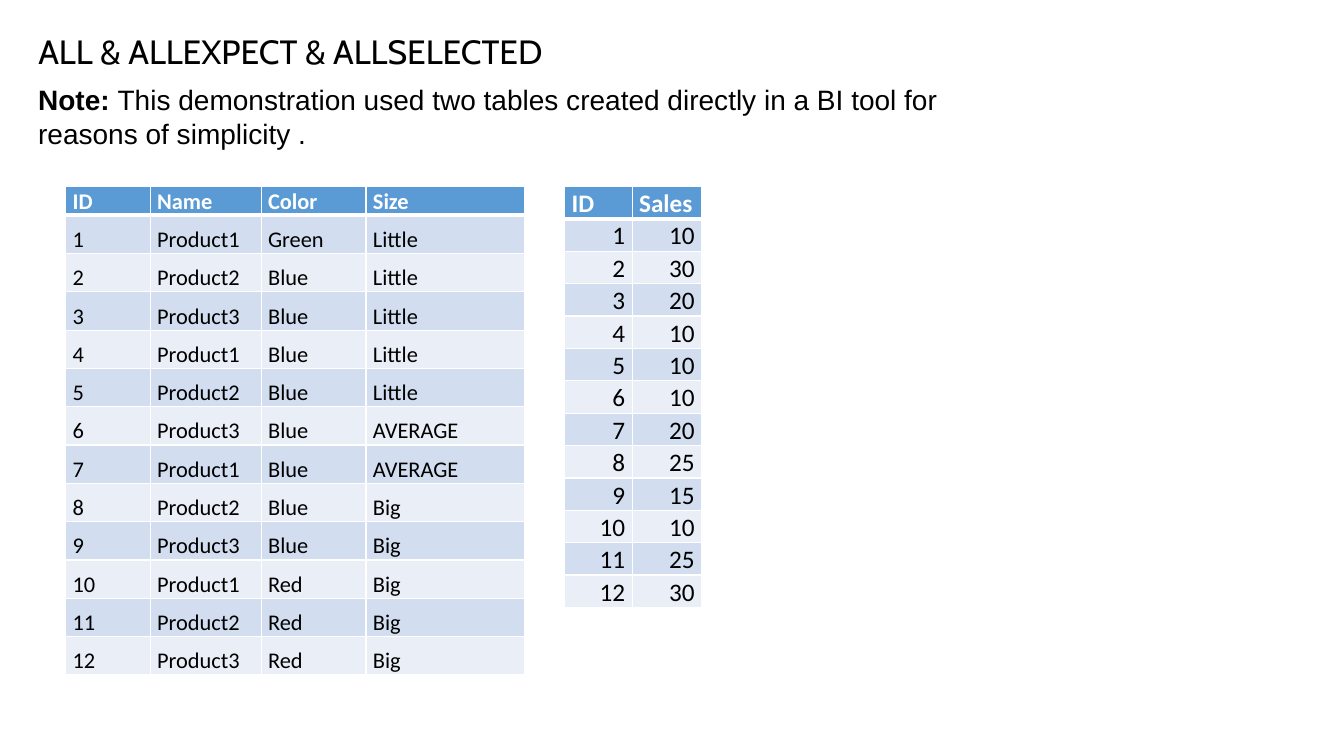
from lxml.etree import SubElement
from pptx import Presentation
from pptx.dml.color import RGBColor
from pptx.enum.text import MSO_ANCHOR, MSO_AUTO_SIZE, PP_ALIGN
from pptx.oxml.ns import qn
from pptx.util import Pt

PX = 9144
BLACK = RGBColor(0x00, 0x00, 0x00)
WHITE = RGBColor(0xFF, 0xFF, 0xFF)
HEADER_BLUE = RGBColor(0x5B, 0x9B, 0xD5)
BANDS = (RGBColor(0xEA, 0xEF, 0xF7), RGBColor(0xD2, 0xDE, 0xEF))

COLORS = ["Green"] + ["Blue"] * 8 + ["Red"] * 3
SIZES = ["Little"] * 5 + ["AVERAGE"] * 2 + ["Big"] * 5
SALES = [10, 30, 20, 10, 10, 10, 20, 25, 15, 10, 25, 30]
PRODUCT_ROWS = [["ID", "Name", "Color", "Size"]] + [
    [i + 1, f"Product{i % 3 + 1}", color, size]
    for i, (color, size) in enumerate(zip(COLORS, SIZES))
]
SALES_ROWS = [["ID", "Sales"]] + [[i, n] for i, n in enumerate(SALES, 1)]


def set_font(r, name, size, color, bold=False):
    """Format one run."""
    r.font.name = name
    r.font.size = Pt(size)
    r.font.bold = bold
    r.font.color.rgb = color


def add_title(s, x, y, w, h):
    """Place the heading in the title placeholder."""
    sp = s.shapes.title
    sp.left, sp.top, sp.width, sp.height = (v * PX for v in (x, y, w, h))
    tf = sp.text_frame
    tf.text = "ALL & ALLEXPECT & ALLSELECTED"
    tf.word_wrap = False
    tf.auto_size = MSO_AUTO_SIZE.SHAPE_TO_FIT_TEXT
    tf.vertical_anchor = MSO_ANCHOR.TOP
    p = tf.paragraphs[0]
    p.alignment = PP_ALIGN.LEFT
    set_font(p.runs[0], "Cabin", 24, BLACK)


def add_note(s, x, y, w, h):
    """Place the two-line note with its bold lead word."""
    tf = s.shapes.add_textbox(x * PX, y * PX, w * PX, h * PX).text_frame
    tf.word_wrap = True
    tf.vertical_anchor = MSO_ANCHOR.MIDDLE
    tf.text = "Note: "
    set_font(tf.paragraphs[0].runs[0], "Arial", 20, BLACK, True)
    r = tf.paragraphs[0].add_run()
    r.text = "This demonstration used two tables created directly in a BI tool for"
    set_font(r, "Arial", 20, BLACK)
    p = tf.add_paragraph()
    p.text = "reasons of simplicity ."
    set_font(p.runs[0], "Arial", 20, BLACK)


def set_borders(cell, top, bottom):
    """Draw white cell borders with the given top and bottom points."""
    tc_pr = cell._tc.get_or_add_tcPr()
    for side, width in (("L", 1), ("R", 1), ("T", top), ("B", bottom)):
        ln = SubElement(tc_pr, qn(f"a:ln{side}"), w=str(Pt(width)))
        fill = SubElement(ln, qn("a:solidFill"))
        SubElement(fill, qn("a:srgbClr"), val=str(WHITE))


def add_data_table(s, x, y, rows, col_widths, header_h, row_h, size, body_align):
    """Place a banded table with a blue header row."""
    w, h = sum(col_widths), header_h + row_h * (len(rows) - 1)
    table = s.shapes.add_table(
        len(rows), len(col_widths), x * PX, y * PX, w * PX, h * PX
    ).table
    for col, width in zip(table.columns, col_widths):
        col.width = width * PX
    for i, values in enumerate(rows):
        header = i == 0
        table.rows[i].height = (header_h if header else row_h) * PX
        for j, value in enumerate(values):
            cell = table.cell(i, j)
            cell.margin_left = cell.margin_right = 7 * PX
            cell.margin_top = cell.margin_bottom = 0
            cell.vertical_anchor = MSO_ANCHOR.BOTTOM
            set_borders(cell, 3 if i == 1 else 1, 3 if header else 1)
            cell.fill.solid()
            cell.fill.fore_color.rgb = HEADER_BLUE if header else BANDS[i % 2]
            cell.text_frame.text = str(value)
            p = cell.text_frame.paragraphs[0]
            p.line_spacing = 1.07
            p.alignment = PP_ALIGN.LEFT if header else body_align
            set_font(p.runs[0], "Calibri", size, WHITE if header else BLACK, header)


def main():
    """Build the slide and save it."""
    prs = Presentation()
    prs.slide_width, prs.slide_height = 1333 * PX, 750 * PX
    s = prs.slides.add_slide(prs.slide_layouts[5])
    add_title(s, 28, 26, 530, 50)
    add_data_table(
        s, 65, 185, PRODUCT_ROWS, (84, 110, 104, 157), 28, 38, 16, PP_ALIGN.LEFT
    )
    add_data_table(s, 560, 185, SALES_ROWS, (67, 69), 32, 32, 18, PP_ALIGN.RIGHT)
    add_note(s, 28, 77, 1093, 77)
    prs.save("out.pptx")


if __name__ == "__main__":
    main()
